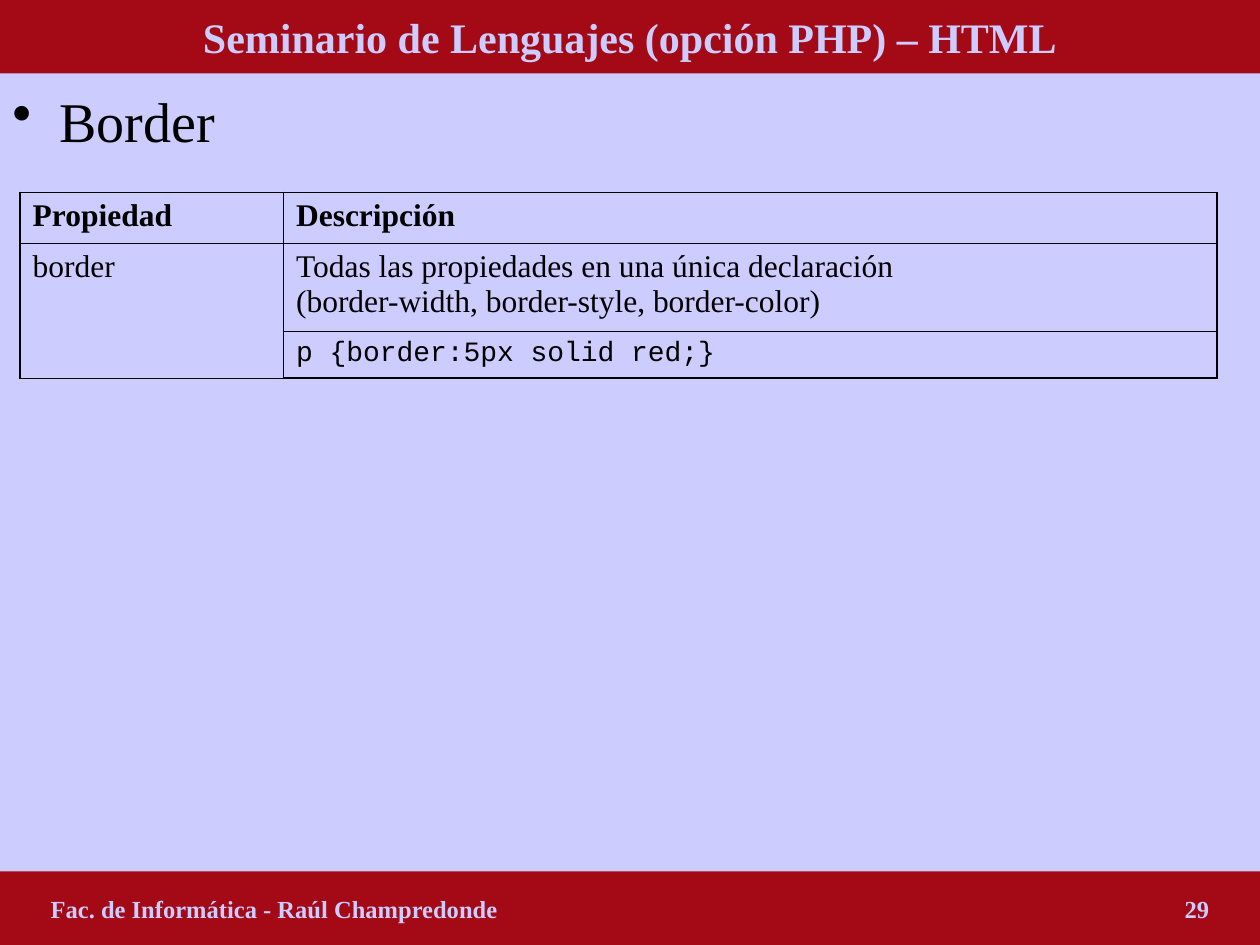
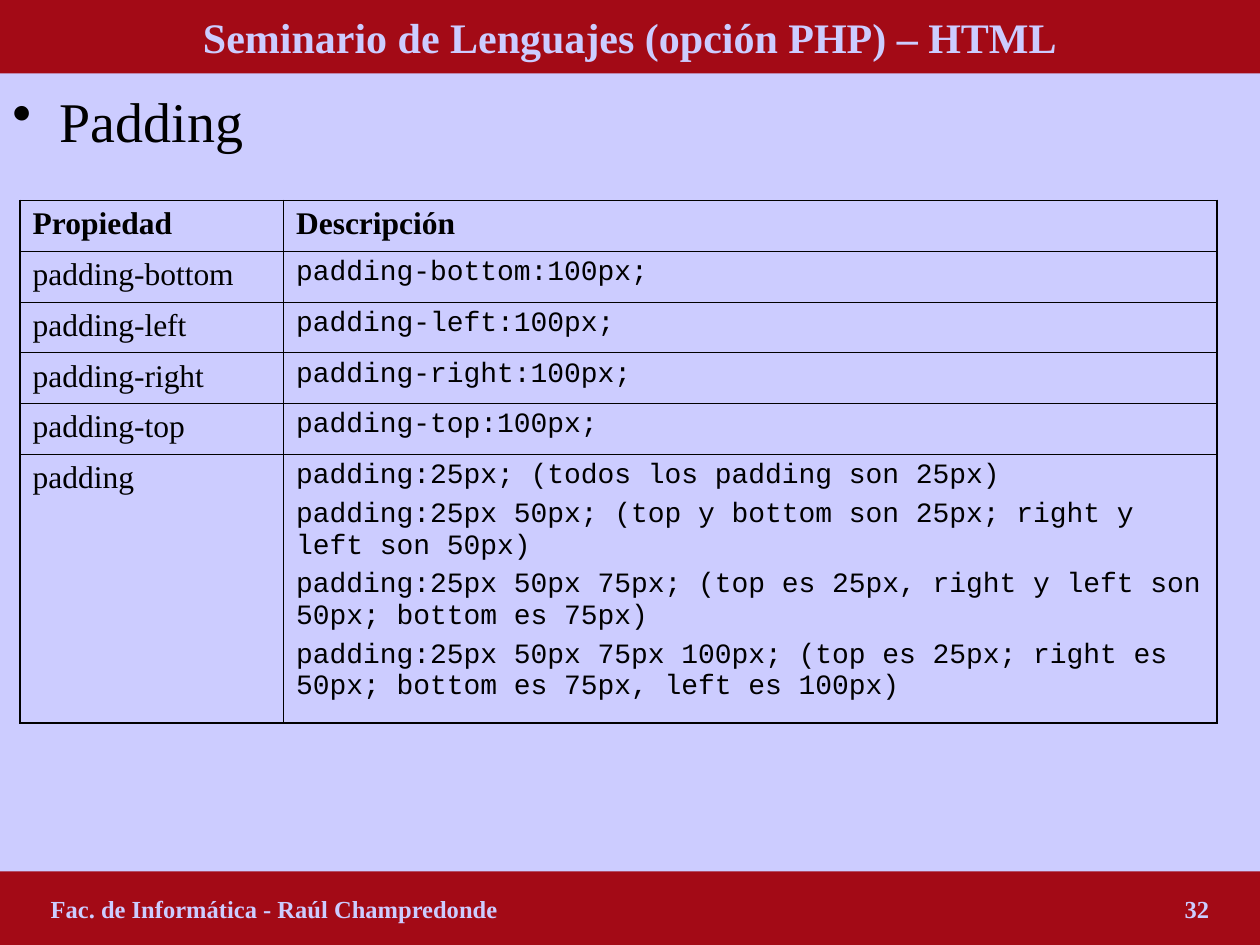
import pptx
import pptx.dml.color
import pptx.enum.shapes
import pptx.enum.text
import pptx.oxml
import pptx.oxml.ns
import pptx.util

Pt = pptx.util.Pt
ALIGN = pptx.enum.text.PP_ALIGN
ANCHOR = pptx.enum.text.MSO_ANCHOR

WIDTH, HEIGHT, BAND_HEIGHT = 720, 540, 42
LAVENDER, RED, BLACK = "CCCCFF", "A30A16", "000000"
SERIF, MONO = "Times New Roman", "Courier New"
COURSE = "Seminario de Lenguajes (opción PHP) – HTML"
AUTHOR = "Fac. de Informática - Raúl Champredonde"
FOOTER_INSET = 29
TABLE_LEFT, COLUMN_WIDTHS = 11.5, (150.5, 533.5)
OUTER_LINE, INNER_LINE = 1.08, 0.45

BORDER_ROWS = [
    (29, "border", "Todas las propiedades en una única declaración\v"
                   "(border-width, border-style, border-color)", SERIF),
    (27, "", "p {border:5px solid red;}", MONO),
]
BORDER_HEIGHTS = [29, 50.5, 26.5]
PADDING_SIDES = ["bottom", "left", "right", "top"]
PADDING_SHORTHANDS = [
    "padding:25px; (todos los padding son 25px)",
    "padding:25px 50px; (top y bottom son 25px; right y left son 50px)",
    "padding:25px 50px 75px; (top es 25px, right y left son 50px; bottom es 75px)",
    "padding:25px 50px 75px 100px; (top es 25px; right es 50px; bottom es 75px, left es 100px)",
]


def color(hex_code):
    return pptx.dml.color.RGBColor.from_string(hex_code)


def xml(tag, content="", **attributes):
    pairs = "".join(f' {key}="{value}"' for key, value in attributes.items())
    return pptx.oxml.parse_xml(
        f'<a:{tag} {pptx.oxml.ns.nsdecls("a")}{pairs}>{content}</a:{tag}>')


def write(frame, text, size=18, font=SERIF, ink=BLACK, bold=False,
          align=ALIGN.LEFT, anchor=ANCHOR.TOP, space=0):
    frame.word_wrap = True
    frame.vertical_anchor = anchor
    lines = [text] if isinstance(text, str) else text
    for index, line in enumerate(lines):
        paragraph = frame.paragraphs[0] if index == 0 else frame.add_paragraph()
        paragraph.text = line
        paragraph.alignment = align
        paragraph.space_before = Pt(space if index else 0)
        for run in paragraph.runs:
            run.font.size = Pt(size)
            run.font.name = font
            run.font.bold = bold
            run.font.color.rgb = color(ink)


def place(shape, left, top, width, height):
    shape.left, shape.top = Pt(left), Pt(top)
    shape.width, shape.height = Pt(width), Pt(height)


def add_heading(slide):
    heading = slide.shapes.title
    place(heading, 0, 0, WIDTH, BAND_HEIGHT)
    heading.fill.solid()
    heading.fill.fore_color.rgb = color(RED)
    heading.text_frame.auto_size = pptx.enum.text.MSO_AUTO_SIZE.NONE
    write(heading.text_frame, COURSE, size=24, ink=LAVENDER, bold=True,
          align=ALIGN.CENTER, anchor=ANCHOR.MIDDLE)


def add_footer(slide, number):
    footer = slide.shapes.add_shape(
        pptx.enum.shapes.MSO_SHAPE.RECTANGLE, 0, Pt(HEIGHT - BAND_HEIGHT),
        Pt(WIDTH), Pt(BAND_HEIGHT))
    footer.shadow.inherit = False
    footer.fill.solid()
    footer.fill.fore_color.rgb = color(RED)
    footer.line.fill.background()
    frame = footer.text_frame
    frame.margin_left = Pt(FOOTER_INSET)
    tab = xml("tab", pos=Pt(WIDTH - 2 * FOOTER_INSET), algn="r")
    tabs = xml("tabLst")
    tabs.append(tab)
    frame.paragraphs[0]._p.get_or_add_pPr().append(tabs)
    write(frame, f"{AUTHOR}\t{number}", size=14, ink=LAVENDER, bold=True,
          anchor=ANCHOR.MIDDLE)


def add_topic(slide, topic):
    box = slide.shapes.add_textbox(0, Pt(BAND_HEIGHT + 4), Pt(WIDTH), Pt(48))
    properties = box.text_frame.paragraphs[0]._p.get_or_add_pPr()
    properties.set("marL", str(Pt(27)))
    properties.set("indent", str(Pt(-27)))
    properties.append(xml("buChar", char="•"))
    write(box.text_frame, topic, size=32)


def set_borders(cell, **widths):
    properties = cell._tc.get_or_add_tcPr()
    for side in "LRTB":
        line = xml("ln" + side, w=Pt(widths[side]))
        fill = xml("solidFill")
        fill.append(xml("srgbClr", val=BLACK))
        line.append(fill)
        properties.append(line)


def add_properties(slide, top, heights, rows):
    table = slide.shapes.add_table(
        len(heights), 2, Pt(TABLE_LEFT), Pt(top), Pt(sum(COLUMN_WIDTHS)),
        Pt(sum(heights))).table
    table.first_row = table.horz_banding = False
    for column, width in zip(table.columns, COLUMN_WIDTHS):
        column.width = Pt(width)
    for row, height in zip(table.rows, heights):
        row.height = Pt(height)
    last = len(heights) - 1
    for r, (name, description, font) in enumerate(
            [("Propiedad", "Descripción", SERIF)] + rows):
        for c, text in enumerate((name, description)):
            cell = table.cell(r, c)
            set_borders(cell,
                        L=INNER_LINE if c else OUTER_LINE,
                        R=OUTER_LINE if c else INNER_LINE,
                        T=INNER_LINE if r else OUTER_LINE,
                        B=OUTER_LINE if r == last else INNER_LINE)
            cell.fill.background()
            if text:
                face = font if c else SERIF
                write(cell.text_frame, text, size=16 if face == MONO else 18,
                      font=face, bold=r == 0, space=4)
    return table


def add_page(deck, number, topic):
    slide = deck.slides.add_slide(deck.slide_layouts[5])
    add_heading(slide)
    add_footer(slide, number)
    add_topic(slide, topic)
    return slide


def main():
    deck = pptx.Presentation()
    deck.slide_width, deck.slide_height = Pt(WIDTH), Pt(HEIGHT)
    background = deck.slide_master.background.fill
    background.solid()
    background.fore_color.rgb = color(LAVENDER)

    border_page = add_page(deck, 29, "Border")
    border_table = add_properties(border_page, 110, BORDER_HEIGHTS,
                                  [row[1:] for row in BORDER_ROWS])
    border_table.cell(1, 0).merge(border_table.cell(2, 0))

    padding_page = add_page(deck, 32, "Padding")
    padding_rows = [(f"padding-{side}", f"padding-{side}:100px;", MONO)
                    for side in PADDING_SIDES]
    padding_rows.append(("padding", PADDING_SHORTHANDS, MONO))
    add_properties(padding_page, 114.5, [29] * 5 + [153.5], padding_rows)

    deck.save("out.pptx")


if __name__ == "__main__":
    main()
